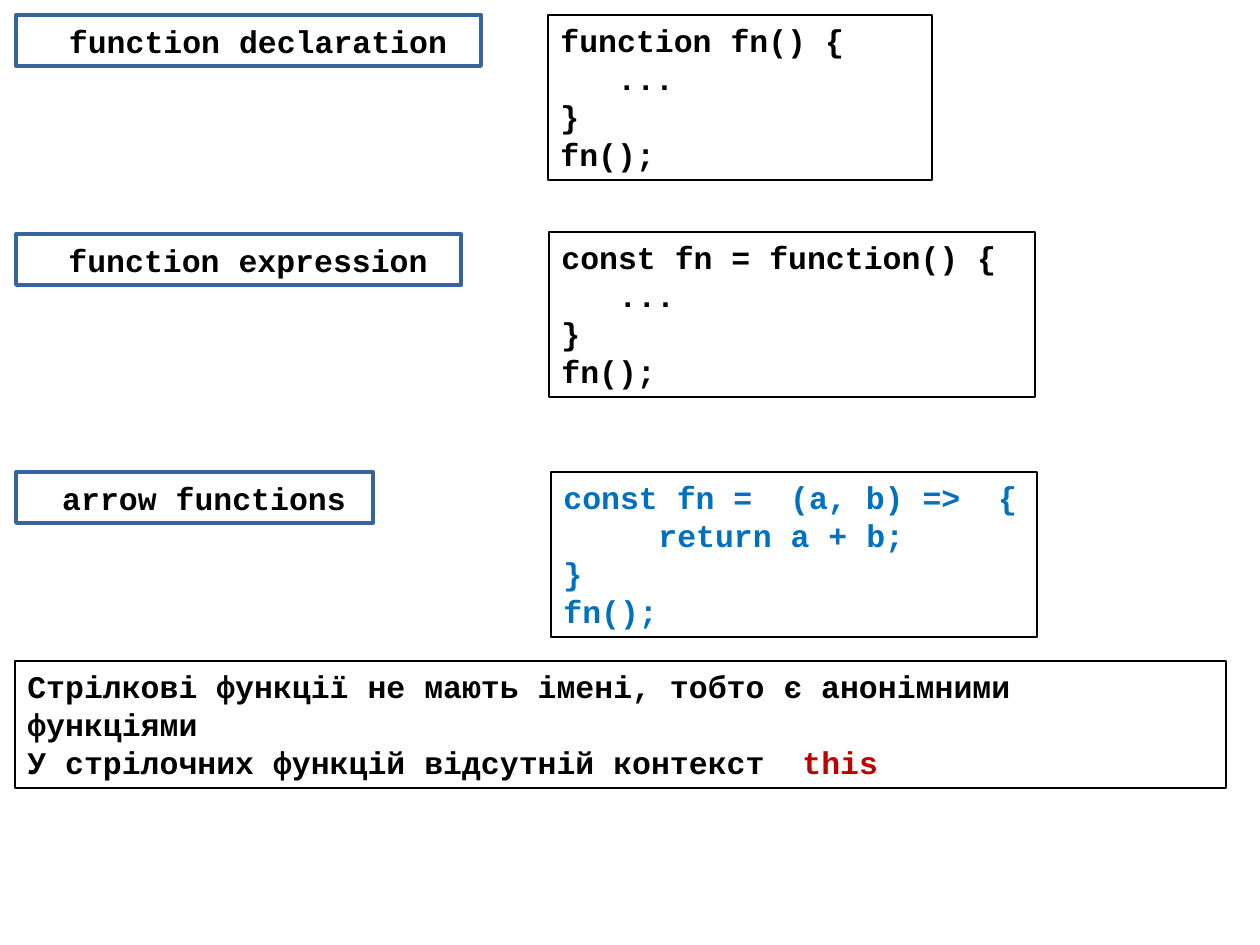
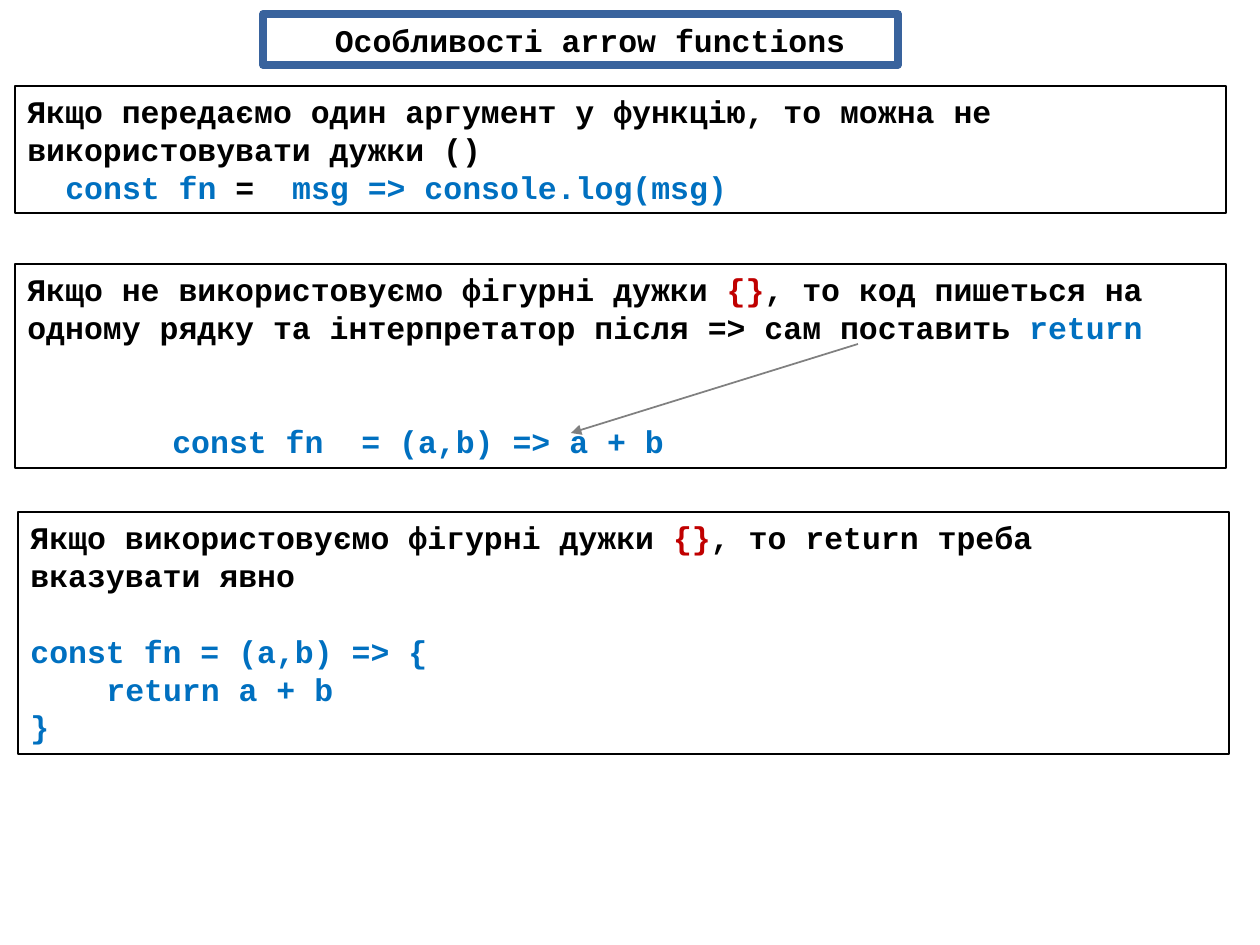
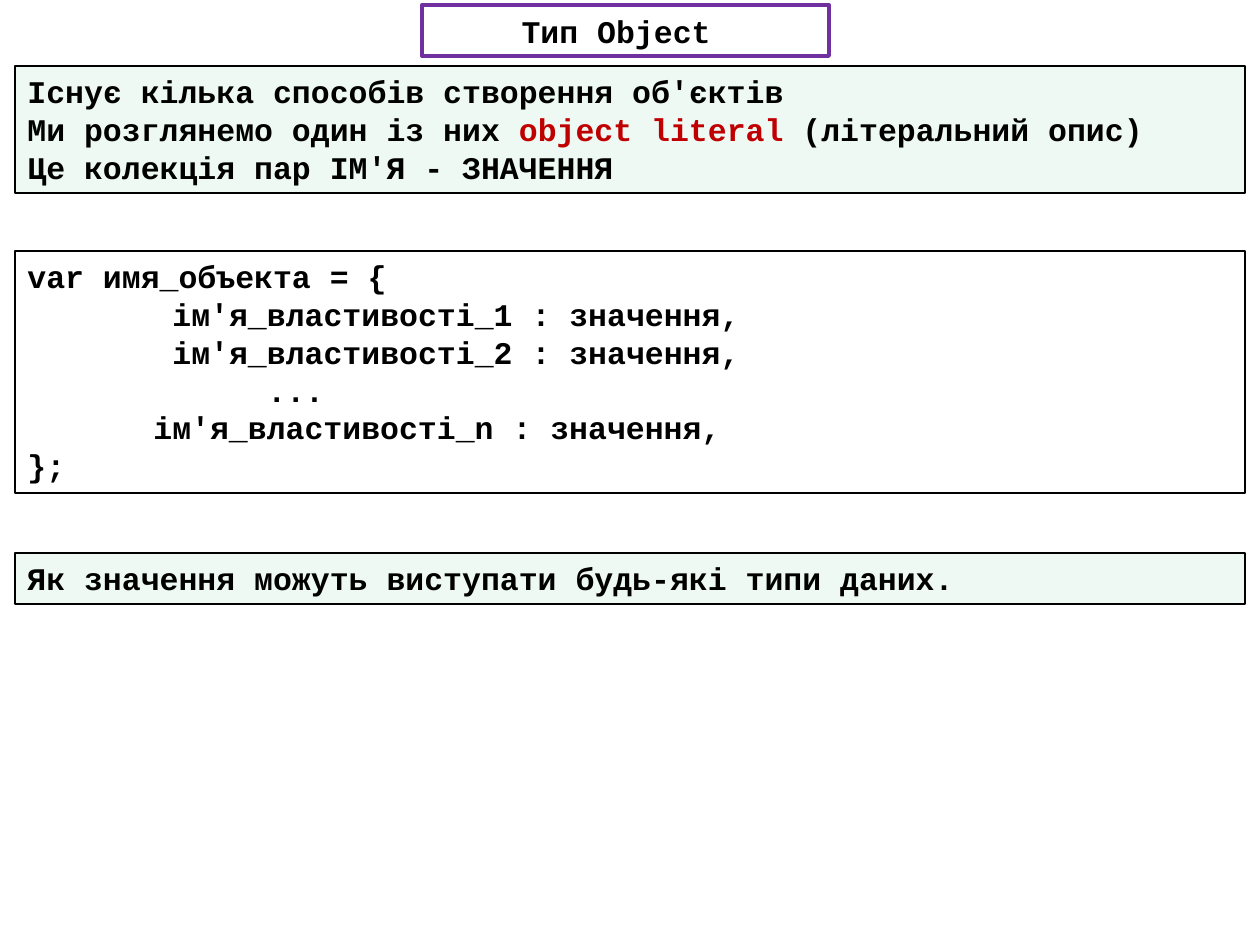
from dataclasses import dataclass

from lxml.etree import SubElement
from pptx import Presentation
from pptx.dml.color import RGBColor
from pptx.enum.shapes import MSO_CONNECTOR, MSO_SHAPE
from pptx.enum.text import MSO_ANCHOR, MSO_AUTO_SIZE, PP_ALIGN
from pptx.oxml.ns import qn
from pptx.slide import Slide
from pptx.util import Emu, Pt

EMU_PER_INCH = 914400
PX_PER_INCH = 126

BLACK = RGBColor(0x00, 0x00, 0x00)
WHITE = RGBColor(0xFF, 0xFF, 0xFF)
BLUE = RGBColor(0x00, 0x70, 0xC0)
RED = RGBColor(0xC0, 0x00, 0x00)
GREEN = RGBColor(0x00, 0xB0, 0x50)
GRAY = RGBColor(0x80, 0x80, 0x80)
NAVY = RGBColor(0x39, 0x63, 0x9D)
PURPLE = RGBColor(0x70, 0x30, 0xA0)

FONT = "Courier New"
FONT_SIZE = Pt(18)
TINT_PERCENT = 7

COLUMN = 19  # width of one character
TAB = 126
ROW = 38  # height of one text line

LEFT = 15
LABEL_LEFT = 16
LABEL_HEIGHT = 51
CODE_HEIGHT = 165
NOTE_WIDTH = 1211
OBJECT_WIDTH = 1230


@dataclass(frozen=True)
class Span:
    text: str
    color: RGBColor = BLACK


@dataclass(frozen=True)
class Line:
    spans: tuple[Span, ...]
    indent: int = 0
    gap: int = 0


@dataclass(frozen=True)
class Label:
    text: str
    left: int
    top: int
    width: int
    color: RGBColor = NAVY
    weight: float = 2.25


@dataclass(frozen=True)
class Panel:
    left: int
    top: int
    width: int
    height: int
    lines: tuple[Line, ...]
    tint: RGBColor | None = None


def px(length: int) -> Emu:
    return Emu(round(length * EMU_PER_INCH / PX_PER_INCH))


def line(text: str, color: RGBColor = BLACK, indent: int = 0, gap: int = 0) -> Line:
    return Line((Span(text, color),), indent, gap)


def add_box(slide: Slide, left: int, top: int, width: int, height: int,
            color: RGBColor, weight: float):
    box = slide.shapes.add_shape(
        MSO_SHAPE.RECTANGLE, px(left), px(top), px(width), px(height))
    box.shadow.inherit = False
    box.line.color.rgb = color
    box.line.width = Pt(weight)
    box.text_frame.word_wrap = True
    return box


def style_font(font, color: RGBColor) -> None:
    font.name = FONT
    font.size = FONT_SIZE
    font.bold = True
    font.color.rgb = color


def draw_label(slide: Slide, label: Label) -> None:
    box = add_box(slide, label.left, label.top, label.width, LABEL_HEIGHT,
                  label.color, label.weight)
    box.fill.solid()
    box.fill.fore_color.rgb = WHITE
    box.text_frame.vertical_anchor = MSO_ANCHOR.MIDDLE
    box.text_frame.text = label.text
    para = box.text_frame.paragraphs[0]
    para.alignment = PP_ALIGN.CENTER
    style_font(para.runs[0].font, BLACK)


def fill_tint(box, color: RGBColor) -> None:
    """Fill the box with a nearly transparent colour."""
    box.fill.solid()
    box.fill.fore_color.rgb = color
    solid = box.fill._xPr.find(qn("a:solidFill"))
    SubElement(solid[0], qn("a:alpha"), val=str(TINT_PERCENT * 1000))


def draw_panel(slide: Slide, panel: Panel) -> None:
    box = add_box(slide, panel.left, panel.top, panel.width, panel.height, BLACK, 1)
    if panel.tint is None:
        box.fill.background()
    else:
        fill_tint(box, panel.tint)
    frame = box.text_frame
    frame.vertical_anchor = MSO_ANCHOR.TOP
    frame.auto_size = MSO_AUTO_SIZE.SHAPE_TO_FIT_TEXT
    for index, text_line in enumerate(panel.lines):
        para = frame.add_paragraph() if index else frame.paragraphs[0]
        para.alignment = PP_ALIGN.LEFT
        if text_line.gap:
            para.space_before = px(text_line.gap)
        if text_line.indent:
            para._p.get_or_add_pPr().set("marL", str(px(text_line.indent)))
        for span in text_line.spans:
            run = para.add_run()
            run.text = span.text
            style_font(run.font, span.color)


def draw_arrow(slide: Slide, start: tuple[int, int], end: tuple[int, int]) -> None:
    arrow = slide.shapes.add_connector(
        MSO_CONNECTOR.STRAIGHT, *map(px, start), *map(px, end))
    arrow.line.color.rgb = GRAY
    arrow.line.width = Pt(1)
    SubElement(arrow.line._get_or_add_ln(), qn("a:tailEnd"), type="triangle")
    SubElement(arrow._element.spPr, qn("a:effectLst"))


FUNCTION_KINDS = (
    Label(" function declaration", LABEL_LEFT, 15, 465),
    Panel(548, 15, 384, CODE_HEIGHT, (
        line("function fn() {"),
        line("...", indent=3 * COLUMN),
        line("}"),
        line("fn();"),
    )),
    Label(" function expression", LABEL_LEFT, 234, 445),
    Panel(549, 232, 486, CODE_HEIGHT, (
        line("const fn = function() {"),
        line("...", indent=3 * COLUMN),
        line("}"),
        line("fn();"),
    )),
    Label(" arrow functions", LABEL_LEFT, 472, 357),
    Panel(551, 472, 486, CODE_HEIGHT, (
        line("const fn =  (a, b) =>  {", BLUE),
        line("return a + b;", BLUE, indent=5 * COLUMN),
        line("}", BLUE),
        line("fn();", BLUE),
    )),
    Panel(LEFT, 661, NOTE_WIDTH, 127, (
        line("Стрілкові функції не мають імені, тобто є анонімними"),
        line("функціями"),
        Line((Span("У стрілочних функцій відсутній контекст  "), Span("this", RED))),
    )),
)

ARROW_FEATURES = (
    Label(" Особливості arrow functions", 263, 14, 635, weight=4.33),
    Panel(LEFT, 86, NOTE_WIDTH, 127, (
        line("Якщо передаємо один аргумент у функцію, то можна не використовувати дужки ()"),
        Line((Span("const fn ", BLUE), Span("=  "),
              Span("msg => console.log(msg)", BLUE)), indent=2 * COLUMN),
    )),
    Panel(LEFT, 264, NOTE_WIDTH, 204, (
        Line((Span("Якщо не використовуємо фігурні дужки "), Span("{}", RED),
              Span(", то код пишеться на одному рядку та інтерпретатор "
                   "після => сам поставить "),
              Span("return", BLUE))),
        line("const fn  = (a,b) => a + b", BLUE, indent=TAB + COLUMN, gap=2 * ROW),
    )),
    Panel(18, 512, NOTE_WIDTH, 242, (
        Line((Span("Якщо використовуємо фігурні дужки "), Span("{}", RED),
              Span(", то return треба вказувати явно"))),
        line("const fn = (a,b) => {", BLUE, gap=ROW),
        line("return a + b", BLUE, indent=4 * COLUMN),
        line("}", BLUE),
    )),
)

OBJECT_TYPE = (
    Label("Тип Object ", 422, 5, 407, color=PURPLE),
    Panel(LEFT, 66, OBJECT_WIDTH, 127, (
        line("Існує кілька способів створення об'єктів"),
        Line((Span("Ми розглянемо один із них "), Span("object literal", RED),
              Span(" (літеральний опис)"))),
        line("Це колекція пар ІМ'Я - ЗНАЧЕННЯ"),
    ), GREEN),
    Panel(LEFT, 251, OBJECT_WIDTH, 242, (
        line("var имя_объекта = {"),
        line("ім'я_властивості_1 : значення,", indent=TAB + COLUMN),
        line("ім'я_властивості_2 : значення,", indent=TAB + COLUMN),
        line("...", indent=TAB + 6 * COLUMN),
        line("ім'я_властивості_n : значення,", indent=TAB),
        line("};"),
    ), WHITE),
    Panel(LEFT, 553, OBJECT_WIDTH, 51, (
        line("Як значення можуть виступати будь-які типи даних."),
    ), GREEN),
)


def main() -> None:
    deck = Presentation()
    deck.slide_width, deck.slide_height = px(1260), px(945)
    blank = deck.slide_layouts[6]
    pages = []
    for content in (FUNCTION_KINDS, ARROW_FEATURES, OBJECT_TYPE):
        page = deck.slides.add_slide(blank)
        pages.append(page)
        for item in content:
            if isinstance(item, Label):
                draw_label(page, item)
            else:
                draw_panel(page, item)
    draw_arrow(pages[1], (858, 344), (571, 433))
    deck.save("out.pptx")


if __name__ == "__main__":
    main()
